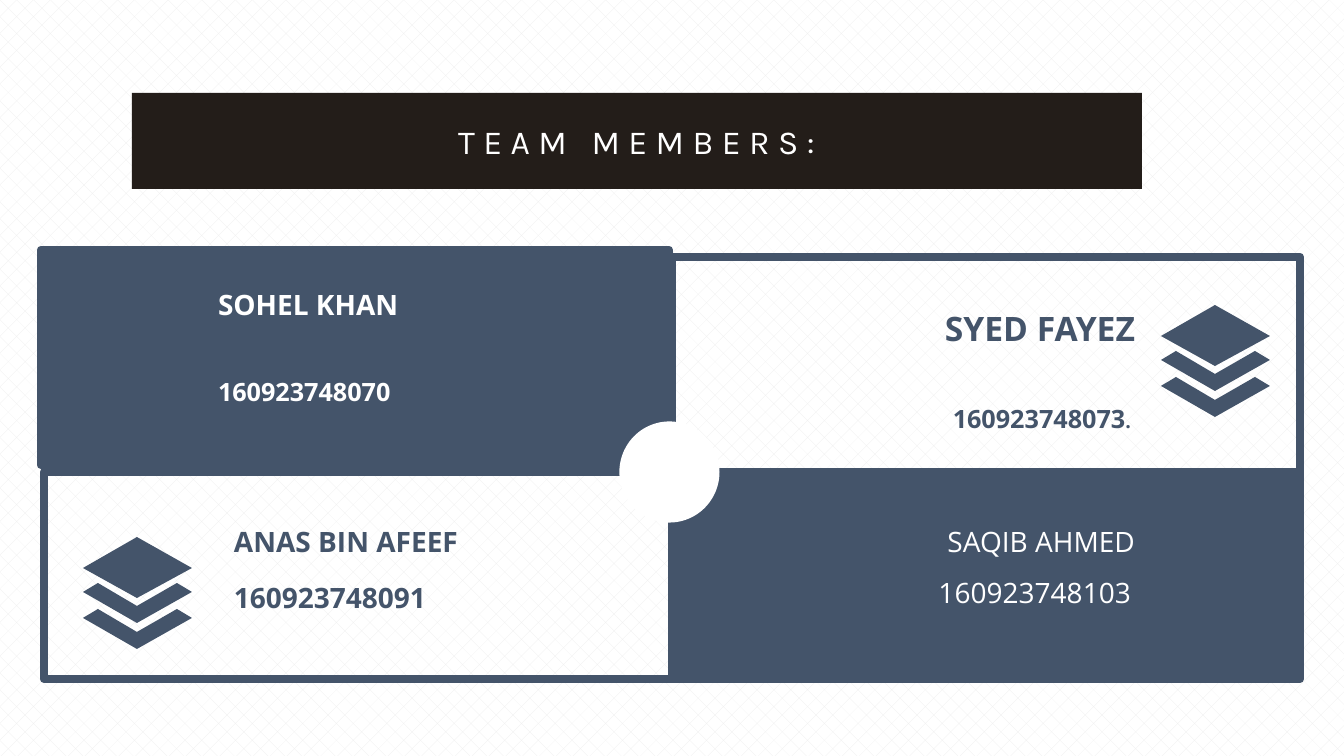
"""Build the team members slide: a title bar above four panels, one for each member."""
from pptx import Presentation
from pptx.dml.color import RGBColor
from pptx.enum.dml import MSO_PATTERN
from pptx.enum.shapes import MSO_SHAPE
from pptx.enum.text import MSO_ANCHOR, MSO_AUTO_SIZE, PP_ALIGN
from pptx.util import Pt

PX = 9071
COLORS = {"slate": "44546A", "white": "FFFFFF", "black": "231D19", "hatch": "EDEDED"}


def rgb(name):
    return RGBColor.from_string(COLORS[name])


def paint(shape, fill, line=None, width=0):
    shape.shadow.inherit = False
    if fill:
        shape.fill.solid()
        shape.fill.fore_color.rgb = rgb(fill)
    else:
        shape.fill.background()
    if line:
        shape.line.color.rgb = rgb(line)
        shape.line.width = Pt(width)
    else:
        shape.line.fill.background()


deck = Presentation()
deck.slide_width, deck.slide_height = 1344 * PX, 756 * PX
slide = deck.slides.add_slide(deck.slide_layouts[5])
backdrop = slide.background.fill
backdrop.patterned()
backdrop.pattern = MSO_PATTERN.DIAGONAL_BRICK
backdrop.fore_color.rgb = rgb("hatch")
backdrop.back_color.rgb = rgb("white")

panels = [
    (41, 250, 628, 215, "slate"),
    (44, 472, 628, 207, None),
    (672, 257, 628, 215, None),
    (672, 472, 628, 207, "slate"),
]
for *box, fill in panels:
    panel = slide.shapes.add_shape(MSO_SHAPE.RECTANGLE, *(n * PX for n in box))
    paint(panel, fill, "slate", 6)

hub = slide.shapes.add_shape(MSO_SHAPE.OVAL, 621 * PX, 423 * PX, 97 * PX, 98 * PX)
paint(hub, "white", "white", 2.25)

chevron = [(54, 23), (15, 0), (0, 9), (54, 40), (109, 9), (94, 0)]
diamond = [(109, 31), (54, 0), (0, 31), (54, 61)]
layers = [(46, chevron), (72, chevron), (0, diamond)]
for left, top in [(83, 537), (1161, 305)]:
    stack = slide.shapes.add_group_shape()
    for drop, outline in layers:
        points = [(left + x, top + drop + y) for x, y in outline]
        builder = stack.shapes.build_freeform(*points[0], scale=PX)
        builder.add_line_segments(points[1:], close=True)
        paint(builder.convert_to_shape(), "slate")

LEFT, RIGHT = PP_ALIGN.LEFT, PP_ALIGN.RIGHT
members = [
    ((211, 285, 410, 122), LEFT, "white", True, 0,
     [("SOHEL KHAN", 20, 1.0)], [("160923748070", 18, 1.5)], 28.6),
    ((227, 521, 410, 95), LEFT, "slate", True, 0,
     [("ANAS BIN AFEEF", 20, 1.0)], [("160923748091", 20, 1.0)], 16.3),
    ((732, 285, 410, 149), RIGHT, "slate", True, 4,
     [("SYED FAYEZ", 24, 1.5)], [("160923748073", 18, 1.5), (".", 14, 1.5)], 28.6),
    ((732, 505, 410, 109), RIGHT, "white", False, 4,
     [("SAQIB AHMED", 20, 1.5)], [("160923748103", 20, 1.5)], 0),
]
for box, align, color, bold, indent, name, number, gap in members:
    frame = slide.shapes.add_textbox(*(n * PX for n in box)).text_frame
    frame_format = {
        "word_wrap": True, "auto_size": MSO_AUTO_SIZE.NONE,
        "margin_left": 7 * PX, "margin_right": 7 * PX,
        "margin_top": 3 * PX, "margin_bottom": 3 * PX,
    }
    for key, value in frame_format.items():
        setattr(frame, key, value)
    name_line, number_line = frame.paragraphs[0], frame.add_paragraph()
    number_line.space_before = Pt(gap)
    if indent:
        number_line._p.get_or_add_pPr().set("marR", str(indent * PX))
    for paragraph, parts in [(name_line, name), (number_line, number)]:
        paragraph.alignment = align
        for text, size, spacing in parts:
            paragraph.line_spacing = spacing
            run = paragraph.add_run()
            run.text = text
            run.font.color.rgb = rgb(color)
            font_format = {"name": "Open Sans", "size": Pt(size), "bold": bold}
            for key, value in font_format.items():
                setattr(run.font, key, value)

bar = slide.shapes.add_shape(MSO_SHAPE.RECTANGLE, 132 * PX, 93 * PX, 1010 * PX, 96 * PX)
paint(bar, "black")

title = slide.shapes.title
bar._element.addnext(title._element)
title_box = {"left": 150, "top": 116, "width": 973, "height": 50}
for key, value in title_box.items():
    setattr(title, key, value * PX)
heading = title.text_frame
heading.text = "TEAM MEMBERS:"
heading_format = {
    "word_wrap": True, "auto_size": MSO_AUTO_SIZE.NONE, "vertical_anchor": MSO_ANCHOR.MIDDLE,
}
for key, value in heading_format.items():
    setattr(heading, key, value)
heading.paragraphs[0].alignment = PP_ALIGN.CENTER
heading_run = heading.paragraphs[0].runs[0]
heading_run.font.color.rgb = rgb("white")
for key, value in {"name": "Karla", "size": Pt(24), "bold": False}.items():
    setattr(heading_run.font, key, value)
heading_run._r.get_or_add_rPr().set("spc", "600")

deck.save("out.pptx")
